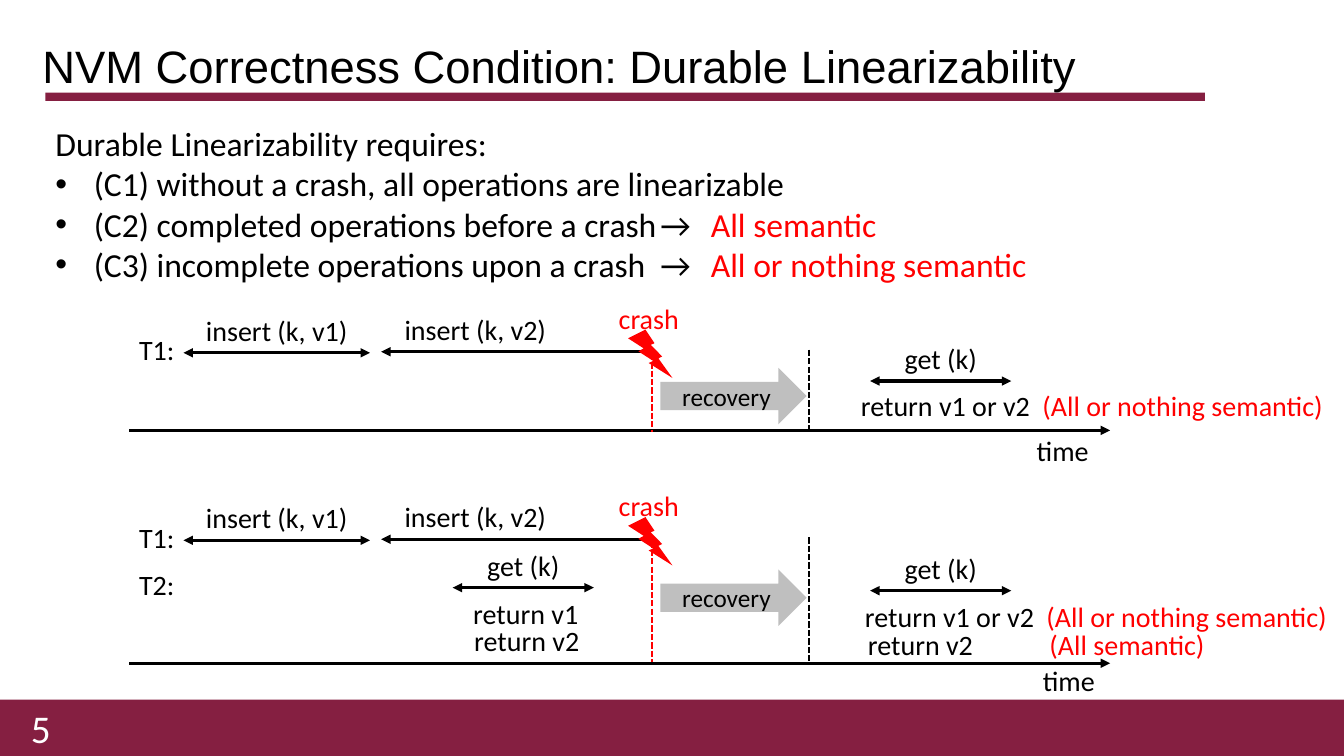
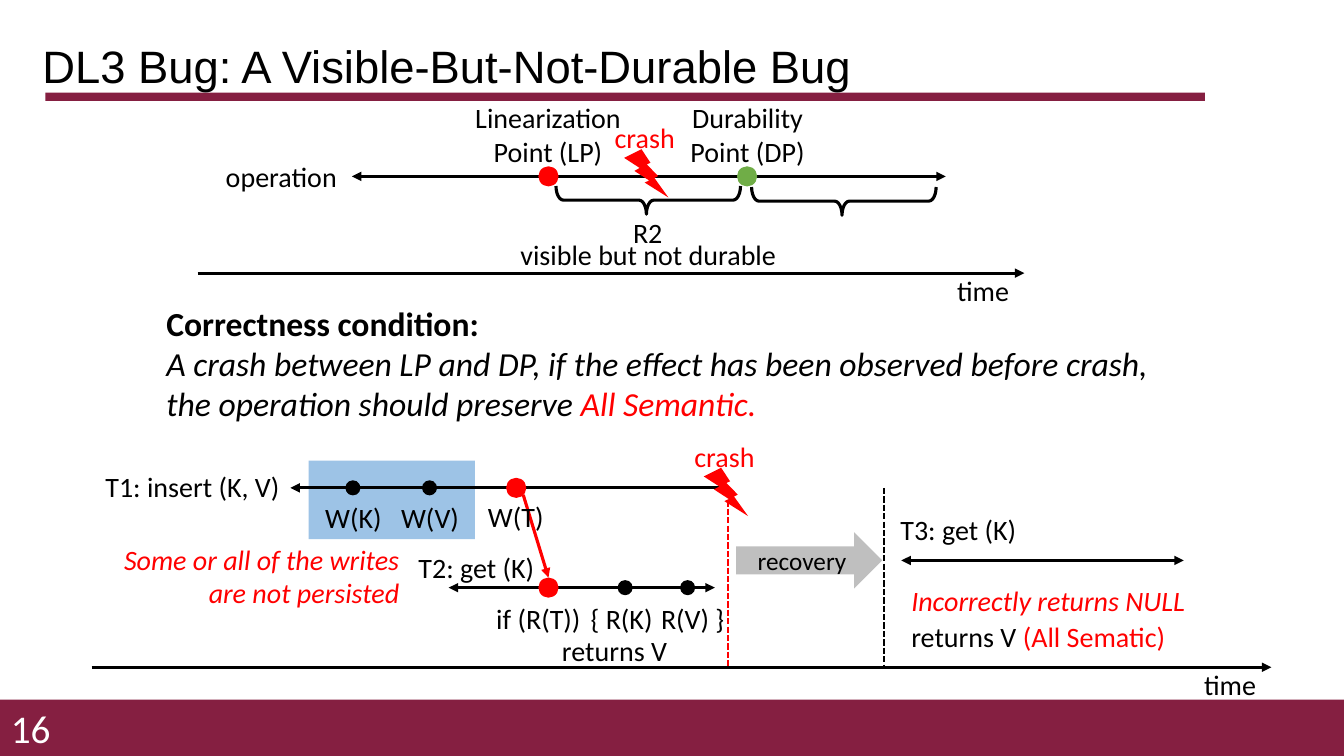
import pptx
import pptx.util
from lxml import etree
from pptx.dml.color import RGBColor
from pptx.enum.dml import MSO_LINE
from pptx.enum.shapes import MSO_CONNECTOR, MSO_SHAPE
from pptx.enum.text import MSO_ANCHOR, MSO_AUTO_SIZE, PP_ALIGN
from pptx.oxml.ns import qn
from pptx.util import Inches

MAROON = RGBColor(0x85, 0x1F, 0x41)
BLACK = RGBColor(0, 0, 0)
WHITE = RGBColor(0xFF, 0xFF, 0xFF)
RED = RGBColor(0xFF, 0, 0)
GREEN = RGBColor(0x70, 0xAD, 0x47)
GRAY = RGBColor(0xBF, 0xBF, 0xBF)
BLUE = RGBColor(0x9D, 0xC3, 0xE6)

LABEL_HEIGHT = 0.44
SPAN_LABEL_WIDTH = 1.65
SEMANTIC_TAB = 1.8
LIST_TABS = (6, 6.5)
LIST_INDENT = 0.38


def write(para, text, size=20, color=BLACK, font="Calibri", bold=False, italic=False):
    span = para.add_run()
    span.text = text
    span.font.name = font
    span.font.size = pptx.util.Pt(size)
    span.font.color.rgb = color
    span.font.bold = bold
    span.font.italic = italic


def add_property(para, tag, **attributes):
    properties = para._p.get_or_add_pPr()
    return etree.SubElement(properties, qn(tag), **attributes)


def set_tabs(para, positions):
    tabs = add_property(para, "a:tabLst")
    for position in positions:
        etree.SubElement(tabs, qn("a:tab"), pos=str(Inches(position)), algn="l")


def set_bullet(para, bulleted):
    properties = para._p.get_or_add_pPr()
    indent = Inches(LIST_INDENT) if bulleted else 0
    properties.set("marL", str(indent))
    properties.set("indent", str(-indent))
    if bulleted:
        add_property(para, "a:buFont", typeface="Arial")
        add_property(para, "a:buChar", char="•")
        set_tabs(para, LIST_TABS)
    else:
        add_property(para, "a:buNone")


def place(shape, left, top, width, height):
    shape.left, shape.top = Inches(left), Inches(top)
    shape.width, shape.height = Inches(width), Inches(height)


def add_label(page, text, left, top, width, height=LABEL_HEIGHT,
              align=PP_ALIGN.CENTER, tail="", **style):
    """Add a text box; a tail is written in red after the text."""
    box = page.shapes.add_textbox(*map(Inches, (left, top, width, height)))
    box.text_frame.word_wrap = True
    para = box.text_frame.paragraphs[0]
    para.alignment = align
    if "\t" in text:
        set_tabs(para, [SEMANTIC_TAB])
    write(para, text, **style)
    if tail:
        write(para, tail, color=RED)
    return box


def add_shape(page, kind, left, top, width, height, fill=None):
    shape = page.shapes.add_shape(kind, *map(Inches, (left, top, width, height)))
    shape.shadow.inherit = False
    if fill is None:
        shape.fill.background()
        shape.line.color.rgb = BLACK
        shape.line.width = pptx.util.Pt(2.25)
    else:
        shape.fill.solid()
        shape.fill.fore_color.rgb = fill
        shape.line.fill.background()
    return shape


def add_line(page, start, end, color=BLACK, width=2.25, dashed=False,
             head=False, tail=False):
    line = page.shapes.add_connector(
        MSO_CONNECTOR.STRAIGHT, *map(Inches, (*start, *end)))
    line.line.color.rgb = color
    line.line.width = pptx.util.Pt(width)
    if dashed:
        line.line.dash_style = MSO_LINE.SQUARE_DOT
    outline = line.element.spPr.find(qn("a:ln"))
    for tag, wanted in (("a:headEnd", head), ("a:tailEnd", tail)):
        if wanted:
            etree.SubElement(outline, qn(tag), type="triangle")
    etree.SubElement(line.element.spPr, qn("a:effectLst"))


def add_dot(page, x, y, color=BLACK, size=0.15):
    add_shape(page, MSO_SHAPE.OVAL, x - size / 2, y - size / 2, size, size, color)


def add_brace(page, left, top):
    brace = add_shape(page, MSO_SHAPE.LEFT_BRACE, left, top, 0.28, 1.83)
    brace.rotation = 270
    brace.adjustments[0] = 0.26
    brace.adjustments[1] = 0.49


def add_span(page, left, right, y, label=None):
    """Add a double-headed operation arrow with a label centred above it."""
    add_line(page, (left, y), (right, y), head=True, tail=True)
    if label:
        label_left = (left + right - SPAN_LABEL_WIDTH) / 2
        add_label(page, label, label_left, y - LABEL_HEIGHT, SPAN_LABEL_WIDTH)


def add_time_axis(page, left, right, y, inset=0.82, lift=0.05):
    add_line(page, (left, y), (right, y), tail=True)
    add_label(page, "time", right - inset, y - lift, 0.82)


def add_crash(page, x, y):
    add_shape(page, MSO_SHAPE.LIGHTNING_BOLT, x - 0.24, y - 0.22, 0.44, 0.48, RED)
    add_label(page, "crash", x - 0.45, y - 0.55, 0.83, color=RED)


def add_crash_and_recovery(page, x, y, bottom, arrow_top):
    recovered = x + 1.55
    add_line(page, (x, y + 0.02), (x, bottom), RED, 1.5, dashed=True)
    add_line(page, (recovered, y - 0.02), (recovered, bottom), width=1.5, dashed=True)
    add_crash(page, x, y)
    arrow = add_shape(page, MSO_SHAPE.RIGHT_ARROW, x + 0.08, arrow_top, 1.45, 0.56, GRAY)
    arrow.text_frame.vertical_anchor = MSO_ANCHOR.MIDDLE
    para = arrow.text_frame.paragraphs[0]
    para.alignment = PP_ALIGN.CENTER
    write(para, "recovery", size=18)


def add_insert_history(page, y, bottom, arrow_top):
    """Add thread T1: one finished insert and one that the crash cuts off."""
    add_label(page, "T1:", 1.26, y - 0.24, 0.59)
    add_span(page, 1.82, 3.67, y + 0.01, "insert (k, v1)")
    add_line(page, (3.78, y), (6.47, y), head=True)
    add_label(page, "insert (k, v2)", 3.89, y - LABEL_HEIGHT, SPAN_LABEL_WIDTH)
    add_crash_and_recovery(page, 6.47, y, bottom, arrow_top)


def fill_body(page, paragraphs, left, top, width, height):
    """Fill the body with (bulleted, [(text, style), ...]) paragraphs."""
    body = page.placeholders[1]
    place(body, left, top, width, height)
    frame = body.text_frame
    frame.auto_size = MSO_AUTO_SIZE.NONE
    for index, (bulleted, spans) in enumerate(paragraphs):
        para = frame.add_paragraph() if index else frame.paragraphs[0]
        set_bullet(para, bulleted)
        para.space_before = pptx.util.Pt(0)
        for text, style in spans:
            write(para, text, size=24, **style)


def add_page(deck, layout, title, number):
    page = deck.slides.add_slide(layout)
    frame = page.shapes.title.text_frame
    frame.auto_size = MSO_AUTO_SIZE.NONE
    frame.vertical_anchor = MSO_ANCHOR.MIDDLE
    para = frame.paragraphs[0]
    para.alignment = PP_ALIGN.LEFT
    para.line_spacing = 0.9
    write(para, title, size=32.4, font="Arial")
    box = add_label(page, number, -0.11, 7.02, 0.71, 0.4,
                    PP_ALIGN.RIGHT, size=28, color=WHITE)
    box.text_frame.vertical_anchor = MSO_ANCHOR.MIDDLE
    return page


def add_layout_bands(page, layout):
    """Draw the footer band and title rule, then move them to the layout."""
    for bounds in ((0, 6.94, 13.33, 0.56), (0.45, 0.92, 11.5, 0.08)):
        band = add_shape(page, MSO_SHAPE.RECTANGLE, *bounds, MAROON)
        layout.shapes.element.insert(2, band.element)


def fill_durable_linearizability(page):
    red = {"color": RED}
    fill_body(page, [
        (False, [("Durable Linearizability requires:", {})]),
        (True, [("(C1) without a crash, all operations are linearizable", {})]),
        (True, [("(C2) completed operations before a crash\t→\t", {}),
                ("All semantic", red)]),
        (True, [("(C3) incomplete operations upon a crash\t→\t", {}),
                ("All or nothing semantic", red)]),
    ], 0.45, 1.17, 12.57, 1.72)

    either, all_or_nothing = "return v1 or v2\t", "(All or nothing semantic)"
    add_time_axis(page, 1.28, 11.01, 4.27, inset=0.88, lift=0.02)
    add_insert_history(page, 3.49, 4.29, 3.65)
    add_span(page, 8.63, 10.03, 3.78, "get (k)")
    add_label(page, either, 8.44, 3.81, 4.82, align=PP_ALIGN.LEFT, tail=all_or_nothing)

    add_time_axis(page, 1.28, 11.01, 6.58)
    add_insert_history(page, 5.35, 6.57, 5.65)
    add_label(page, "T2:", 1.26, 5.58, 0.59)
    add_span(page, 4.49, 5.89, 5.83, "get (k)")
    add_label(page, "return v1", 4.09, 5.87, 2.25)
    add_label(page, "return v2", 4.1, 6.14, 2.25)
    add_span(page, 8.63, 10.03, 5.86, "get (k)")
    add_label(page, either, 8.48, 5.9, 4.82, align=PP_ALIGN.LEFT, tail=all_or_nothing)
    add_label(page, "return v2\t", 8.51, 6.18, 4.82, align=PP_ALIGN.LEFT,
              tail="(All semantic)")


def add_operation_diagram(page):
    add_time_axis(page, 1.96, 10.16, 2.71)
    add_span(page, 3.49, 9.38, 1.75)
    add_label(page, "operation", 2.12, 1.53, 1.34)
    add_dot(page, 5.44, 1.75, RED, 0.2)
    add_dot(page, 7.41, 1.75, GREEN, 0.2)
    add_label(page, "visible but not durable", 4.72, 2.31, 3.42)
    add_label(page, "R2", 5.71, 2.09, 1.43)
    add_brace(page, 6.29, 1.07)
    add_brace(page, 8.23, 1.08)
    add_label(page, "Linearization Point (LP)", 4.59, 0.95, 1.69, 0.77)
    add_label(page, "Durability Point (DP)", 6.7, 0.95, 1.43, 0.77)
    add_crash(page, 6.43, 1.7)


def add_bug_diagram(page):
    add_shape(page, MSO_SHAPE.RECTANGLE, 3.06, 4.57, 1.65, 0.78, BLUE)
    add_time_axis(page, 0.91, 12.61, 6.62)
    add_line(page, (2.88, 4.84), (7.19, 4.84), head=True)
    add_crash_and_recovery(page, 7.22, 4.86, 6.62, 5.28)
    add_span(page, 8.94, 11.74, 5.56)
    add_span(page, 4.45, 7.09, 5.83)
    for x, y in ((3.5, 4.84), (4.26, 4.84), (6.2, 5.83), (6.82, 5.83)):
        add_dot(page, x, y)
    for x, y in ((5.12, 4.84), (5.44, 5.83)):
        add_dot(page, x, y, RED, 0.2)
    add_line(page, (5.19, 4.91), (5.44, 5.73), RED, tail=True)
    for text, left, top, width in (
        ("T1: insert (K, V)", 0.91, 4.61, 2),
        ("W(K)", 3.11, 4.92, 0.79),
        ("W(V)", 3.87, 4.92, 0.79),
        ("W(T)", 4.62, 4.91, 0.99),
        ("T2: get (K)", 3.9, 5.41, 1.65),
        ("if (R(T))", 4.59, 5.92, 1.5),
        ("{ R(K)", 5.74, 5.92, 0.85),
        ("R(V) }", 6.43, 5.92, 0.88),
        ("returns V", 4.8, 6.24, 2.59),
        ("T3: get (K)", 8.68, 5.04, 1.65),
    ):
        add_label(page, text, left, top, width)
    add_label(page, "Some or all of the writes are not persisted", 0.99, 5.33,
              3.07, 0.77, PP_ALIGN.RIGHT, color=RED, italic=True)
    add_label(page, "Incorrectly returns NULL", 8.94, 5.74, 3.46,
              align=PP_ALIGN.LEFT, color=RED, italic=True)
    add_label(page, "returns V ", 8.94, 6.1, 3.46, align=PP_ALIGN.LEFT,
              tail="(All Sematic)")


def fill_visible_not_durable(page):
    italic = {"italic": True}
    fill_body(page, [
        (False, [("Correctness condition:", {"bold": True})]),
        (False, [("A crash between LP and DP, if the effect has been observed "
                  "before crash,", italic)]),
        (False, [("the operation should preserve ", italic),
                 ("All Semantic.", {"italic": True, "color": RED})]),
    ], 1.55, 2.95, 10.18, 1.31)
    add_operation_diagram(page)
    add_bug_diagram(page)


def main():
    deck = pptx.Presentation()
    deck.slide_width, deck.slide_height = Inches(13.33), Inches(7.5)
    layout = deck.slide_layouts[1]
    place(layout.placeholders[0], 0.32, 0.4, 11.5, 0.56)
    page = add_page(deck, layout, "NVM Correctness Condition: Durable Linearizability", "5")
    add_layout_bands(page, layout)
    fill_durable_linearizability(page)
    page = add_page(deck, layout, "DL3 Bug: A Visible-But-Not-Durable Bug", "16")
    fill_visible_not_durable(page)
    deck.save("out.pptx")


if __name__ == "__main__":
    main()
